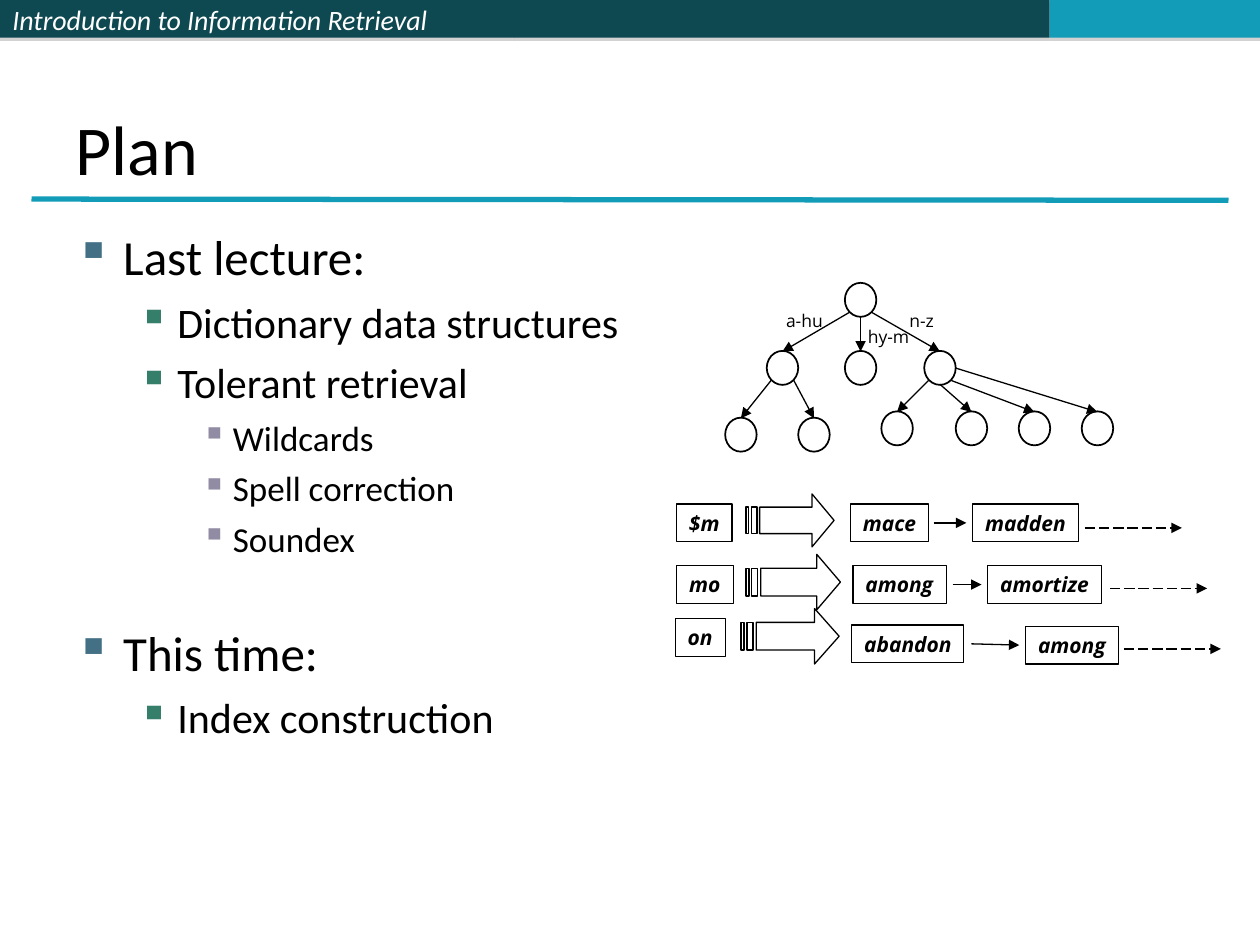
import dataclasses

import lxml.etree
import pptx
import pptx.dml.color
import pptx.enum.dml
import pptx.enum.shapes
import pptx.enum.text
import pptx.oxml
import pptx.oxml.ns
import pptx.util

Inches = pptx.util.Inches
qn = pptx.oxml.ns.qn
Anchor = pptx.enum.text.MSO_ANCHOR
Shape = pptx.enum.shapes.MSO_SHAPE


@dataclasses.dataclass(frozen=True)
class Theme:
    ink: str = "000000"
    white: str = "FFFFFF"
    dark: str = "0E4851"
    accent: str = "139CB7"
    shadow: str = "808080"
    bullets: tuple = ("437085", "357E69", "918BA3")
    body_font: str = "Calibri"
    diagram_font: str = "Open Sans"
    header_size: int = 16
    title_size: int = 40
    body_sizes: tuple = (28, 24, 20)
    label_size: int = 10
    term_size: int = 12
    thin: float = 0.75
    node_line: float = 1
    rule_line: float = 3


def rgb(value):
    return pptx.dml.color.RGBColor.from_string(value)


def write_text(paragraph, text, *, size, font, color, bold=False, italic=False):
    run = paragraph.add_run()
    run.text = text
    run.font.size = pptx.util.Pt(size)
    run.font.name = font
    run.font.color.rgb = rgb(color)
    run.font.bold = bold
    run.font.italic = italic


class SlideBuilder:
    # Left margin, hanging indent and space before, by outline level
    LEVELS = ((0.38, 0.38, 7), (0.81, 0.31, 6), (1.25, 0.25, 5))

    def __init__(self, slide, theme):
        self.slide = slide
        self.theme = theme

    def frame(self, shape, anchor=Anchor.TOP, wrap=True):
        text_frame = shape.text_frame
        text_frame.word_wrap = wrap
        text_frame.vertical_anchor = anchor
        paragraph = text_frame.paragraphs[0]
        paragraph.alignment = pptx.enum.text.PP_ALIGN.LEFT
        return paragraph

    def outline(self, shape, width):
        shape.shadow.inherit = False
        shape.fill.background()
        shape.line.color.rgb = rgb(self.theme.ink)
        shape.line.width = pptx.util.Pt(width)

    def shape(self, kind, left, top, width, height):
        return self.slide.shapes.add_shape(
            kind, Inches(left), Inches(top), Inches(width), Inches(height))

    def bar(self, left, width, color):
        bar = self.shape(Shape.RECTANGLE, left, 0, width, 0.3)
        bar.fill.solid()
        bar.fill.fore_color.rgb = rgb(color)
        bar.line.fill.background()
        bar.shadow.inherit = False
        effects = bar._element.spPr.find(qn("a:effectLst"))
        shadow = lxml.etree.SubElement(
            effects, qn("a:outerShdw"), blurRad="0", dist="22860", dir="5400000")
        color_element = lxml.etree.SubElement(
            shadow, qn("a:srgbClr"), val=self.theme.shadow)
        lxml.etree.SubElement(color_element, qn("a:alpha"), val="35000")
        return bar

    def text_box(self, text, left, top, width, height, anchor=Anchor.TOP, **style):
        box = self.slide.shapes.add_textbox(
            Inches(left), Inches(top), Inches(width), Inches(height))
        paragraph = self.frame(box, anchor)
        if text:
            write_text(paragraph, text, **style)
        return box

    def bullet_list(self, items, left, top, width, height):
        text_frame = self.text_box("", left, top, width, height).text_frame
        for index, (level, text, extra_space) in enumerate(items):
            paragraph = text_frame.add_paragraph() if index else text_frame.paragraphs[0]
            margin, hanging, space = self.LEVELS[level]
            paragraph.level = level
            if index:
                paragraph.space_before = pptx.util.Pt(space + extra_space)
            properties = paragraph._p.get_or_add_pPr()
            properties.set("marL", str(Inches(margin)))
            properties.set("indent", str(-Inches(hanging)))
            bullet_color = lxml.etree.SubElement(properties, qn("a:buClr"))
            lxml.etree.SubElement(
                bullet_color, qn("a:srgbClr"), val=self.theme.bullets[level])
            lxml.etree.SubElement(properties, qn("a:buChar"), char="▪")
            write_text(paragraph, text, size=self.theme.body_sizes[level],
                       font=self.theme.body_font, color=self.theme.ink)

    def line(self, start, end, color=None, width=None, arrow=True, dashed=False):
        connector = self.slide.shapes.add_connector(
            pptx.enum.shapes.MSO_CONNECTOR.STRAIGHT,
            *(Inches(value) for value in (*start, *end)))
        connector.line.color.rgb = rgb(color or self.theme.ink)
        connector.line.width = pptx.util.Pt(width or self.theme.thin)
        if dashed:
            connector.line.dash_style = pptx.enum.dml.MSO_LINE.LONG_DASH
        if arrow:
            lxml.etree.SubElement(
                connector.line._get_or_add_ln(), qn("a:tailEnd"), type="triangle")
        lxml.etree.SubElement(connector._element.spPr, qn("a:effectLst"))

    def node(self, x, y):
        width, height = 0.25, 0.27
        node = self.shape(Shape.OVAL, x - width / 2, y - height / 2, width, height)
        self.outline(node, self.theme.node_line)

    def term(self, text, left, top, width):
        box = self.shape(Shape.RECTANGLE, left, top, width, 0.3)
        self.outline(box, self.theme.thin)
        write_text(self.frame(box, wrap=False), text, size=self.theme.term_size,
                   font=self.theme.diagram_font, color=self.theme.ink,
                   bold=True, italic=True)

    def striped_arrow(self, left, top, width, height):
        def point(x, y):
            return Inches(left + x * width), Inches(top + y * height)

        head = [(0.75, 0), (0.75, 0.25), (5 / 32, 0.25), (5 / 32, 0.75),
                (0.75, 0.75), (0.75, 1), (1, 0.5)]
        stripes = [[(a, 0.25), (a, 0.75), (b, 0.75), (b, 0.25)]
                   for a, b in ((1 / 16, 1 / 8), (0, 1 / 32))]
        builder = self.slide.shapes.build_freeform(*point(*head[0]))
        builder.add_line_segments([point(*p) for p in head[1:]], close=True)
        for stripe in stripes:
            builder.move_to(*point(*stripe[0]))
            builder.add_line_segments([point(*p) for p in stripe[1:]], close=True)
        self.outline(builder.convert_to_shape(), self.theme.thin)


def main():
    presentation = pptx.Presentation()
    presentation.slide_width, presentation.slide_height = Inches(10), Inches(7.5)
    theme = Theme()
    builder = SlideBuilder(
        presentation.slides.add_slide(presentation.slide_layouts[6]), theme)

    # Header bars and title
    header = builder.bar(0, 4.08, theme.dark)
    write_text(builder.frame(header, Anchor.MIDDLE),
               "Introduction to Information Retrieval", size=theme.header_size,
               font=theme.body_font, color=theme.white, italic=True)
    builder.bar(4.08, 4.25, theme.dark)
    builder.bar(8.33, 1.67, theme.accent)
    builder.line((0.25, 1.58), (9.75, 1.59), theme.accent, theme.rule_line, arrow=False)
    builder.text_box("Plan", 0.5, 0.3, 9, 1.25, Anchor.BOTTOM, size=theme.title_size,
                     font=theme.body_font, color=theme.ink)

    # Outline: level, text, extra space before
    builder.bullet_list([
        (0, "Last lecture:", 0), (1, "Dictionary data structures", 0),
        (1, "Tolerant retrieval", 0), (2, "Wildcards", 0),
        (2, "Spell correction", 0), (2, "Soundex", 0),
        (0, "This time:", 29), (1, "Index construction", 0),
    ], 0.5, 1.75, 9, 5.42)

    # Search tree: each parent with its children and the exits their edges use
    exits = {"left": (-0.09, 0.1), "down": (0, 0.13), "right": (0.09, 0.1), "side": (0.12, 0)}
    root, left, middle, right = (6.83, 2.38), (6.21, 2.92), (6.83, 2.92), (7.46, 2.92)
    tree = [
        (root, {"left": left, "down": middle, "right": right}),
        (left, {"left": (5.88, 3.45), "right": (6.46, 3.45)}),
        (right, {"left": (7.12, 3.4), "down": (7.71, 3.4),
                 "right": (8.21, 3.4), "side": (8.71, 3.4)}),
    ]
    builder.node(*root)
    for (x, y), children in tree:
        for side, child in children.items():
            dx, dy = exits[side]
            builder.node(*child)
            builder.line((x + dx, y + dy), (child[0], child[1] - 0.13))
    for text, x, y in (("a-hu", 6.14, 2.41), ("hy-m", 6.79, 2.54), ("n-z", 7.12, 2.41)):
        builder.text_box(text, x, y, 0.6, 0.27, size=theme.label_size,
                         font=theme.diagram_font, color=theme.ink)

    # Bigram postings: terms, striped arrow, link, dashed continuation
    postings = [
        ([("$m", 5.37, 4, 0.44), ("mace", 6.75, 4, 0.62), ("madden", 7.72, 4, 0.84)],
         (5.92, 3.92, 0.7, 0.42), ((7.41, 4.15), (7.67, 4.15)), (8.61, 4.19)),
        ([("mo", 5.37, 4.49, 0.45), ("among", 6.77, 4.49, 0.74), ("amortize", 7.84, 4.49, 0.9)],
         (5.92, 4.4, 0.75, 0.44), ((7.56, 4.64), (7.79, 4.64)), (8.81, 4.67)),
        ([("on", 5.36, 4.91, 0.4), ("abandon", 6.76, 4.96, 0.89), ("among", 8.14, 4.97, 0.74)],
         (5.88, 4.83, 0.78, 0.44), ((7.71, 5.11), (8.09, 5.12)), (8.92, 5.15)),
    ]
    for terms, arrow, link, (x, y) in postings:
        for term in terms:
            builder.term(*term)
        builder.striped_arrow(*arrow)
        builder.line(*link)
        builder.line((x, y), (x + 0.77, y), dashed=True)

    presentation.save("out.pptx")


if __name__ == "__main__":
    main()
